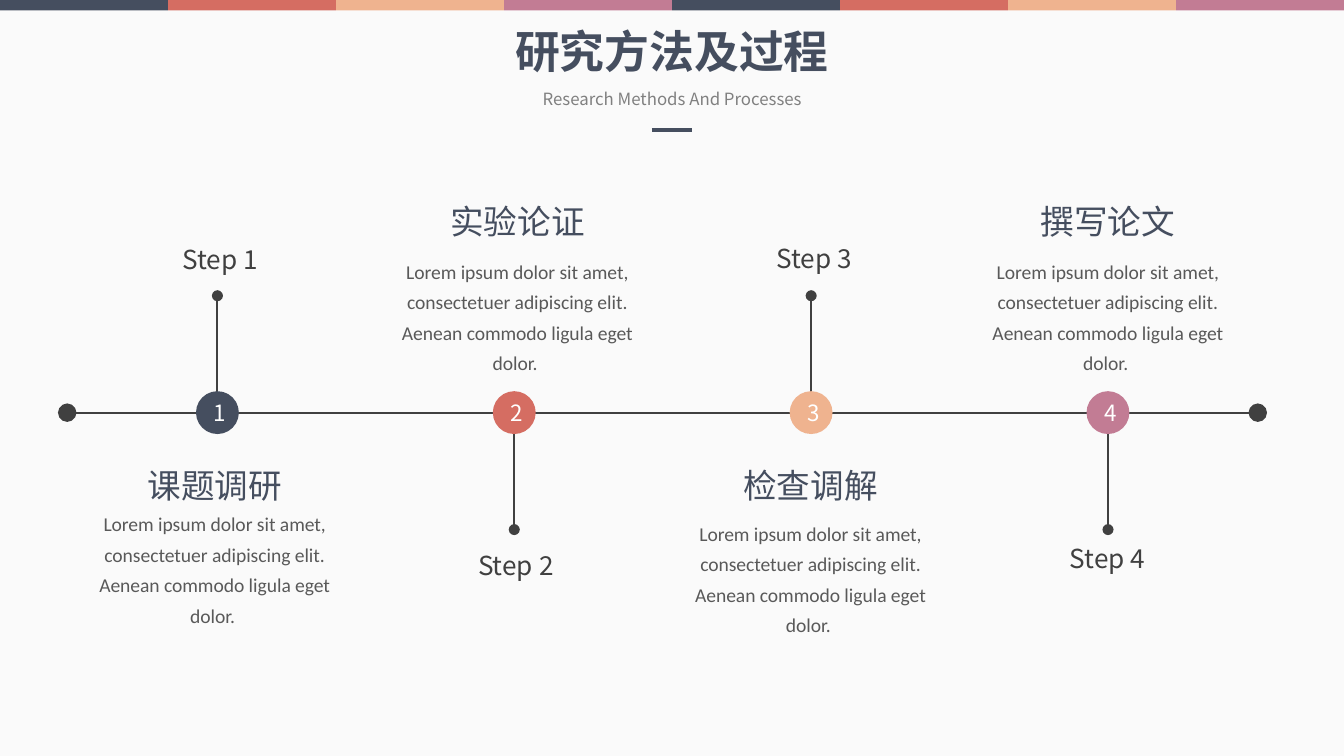
from dataclasses import dataclass

from pptx import Presentation
from pptx.dml.color import RGBColor
from pptx.enum.shapes import MSO_CONNECTOR, MSO_SHAPE
from pptx.enum.text import MSO_ANCHOR, MSO_AUTO_SIZE, PP_ALIGN
from pptx.oxml.ns import qn
from pptx.util import Cm, Pt
from lxml.etree import SubElement

WIDTH, HEIGHT = 25.4, 14.29
CJK = "Noto Sans CJK SC"
NAVY, DARK = "454E5F", "404040"
PALETTE = [NAVY, "D56D62", "EFB38F", "C27C94"]
BODY = ("Lorem ipsum dolor sit amet, consectetuer adipiscing elit. "
        "Aenean commodo ligula eget dolor. ")

TITLE_FONT = {"name": CJK, "size": Pt(24), "bold": True}
SUBTITLE_FONT = {"name": CJK, "size": Pt(9)}
HEADING_FONT = {"name": CJK, "size": Pt(18)}
STEP_FONT = {"name": CJK, "size": Pt(14)}
NUMBER_FONT = {"name": CJK, "size": Pt(12)}
BODY_FONT = {"name": "Calibri", "size": Pt(10.5)}
BODY_SPACING = {"line_spacing": 1.3, "space_before": Pt(6)}


@dataclass
class Step:
    heading: str
    text_center: float
    heading_top: float
    body_top: float
    label_center: float
    label_top: float
    stem_end: float


STEPS = [
    Step("课题调研", 4.06, 8.66, 9.42, 4.16, 4.47, 5.59),
    Step("实验论证", 9.78, 3.68, 4.65, 9.75, 10.26, 10.01),
    Step("检查调解", 15.32, 8.66, 9.6, 15.39, 4.45, 5.59),
    Step("撰写论文", 20.94, 3.68, 4.65, 20.93, 10.13, 10.01),
]


def rgb(color):
    return RGBColor.from_string(color)


def write_text(frame, text, color, font, spacing=None):
    paragraph = frame.paragraphs[0]
    paragraph.alignment = PP_ALIGN.CENTER
    for name, value in (spacing or {}).items():
        setattr(paragraph, name, value)
    run = paragraph.add_run()
    run.text = text
    run.font.color.rgb = rgb(color)
    for name, value in font.items():
        setattr(run.font, name, value)
    east_asian = SubElement(run.font._element, qn("a:ea"))
    east_asian.set("typeface", font["name"])


def add_text(slide, center, top, width, height, text, color, font,
             spacing=None, wrap=True):
    box = slide.shapes.add_textbox(Cm(center - width / 2), Cm(top),
                                   Cm(width), Cm(height))
    frame = box.text_frame
    frame.word_wrap = wrap
    frame.auto_size = MSO_AUTO_SIZE.SHAPE_TO_FIT_TEXT
    write_text(frame, text, color, font, spacing)


def add_filled_shape(slide, kind, left, top, width, height, color):
    shape = slide.shapes.add_shape(kind, Cm(left), Cm(top),
                                   Cm(width), Cm(height))
    shape.shadow.inherit = False
    shape.fill.solid()
    shape.fill.fore_color.rgb = rgb(color)
    shape.line.fill.background()
    return shape


def add_line(slide, x1, y1, x2, y2, color, weight=1, dot_size=None):
    """Draw a straight line, with round dots at both ends if dot_size is set."""
    line = slide.shapes.add_connector(MSO_CONNECTOR.STRAIGHT, Cm(x1), Cm(y1),
                                      Cm(x2), Cm(y2))
    line.line.color.rgb = rgb(color)
    line.line.width = Pt(weight)
    if dot_size:
        outline = line.line._get_or_add_ln()
        for tag in ("a:headEnd", "a:tailEnd"):
            end = SubElement(outline, qn(tag))
            for name, value in {"type": "oval", "w": dot_size,
                                "len": dot_size}.items():
                end.set(name, value)
    SubElement(line._element.spPr, qn("a:effectLst"))


def add_color_band(slide, left, top, width, height):
    colors = PALETTE * 2
    part = width / len(colors)
    for index, color in enumerate(colors):
        add_filled_shape(slide, MSO_SHAPE.RECTANGLE, left + index * part, top,
                         part, height, color)


def add_header(slide, left, top, width):
    center = left + width / 2
    add_text(slide, center, top, 6.5, 1.28, "研究方法及过程", NAVY,
             TITLE_FONT, wrap=False)
    add_text(slide, center, top + 1.22, 5.71, 0.64,
             "Research Methods And Processes", "808080", SUBTITLE_FONT,
             wrap=False)
    rule_y = top + 2.13
    add_line(slide, center - 0.38, rule_y, center + 0.38, rule_y, NAVY, 2.25)


def add_number(slide, center, axis_y, diameter, number, color):
    circle = add_filled_shape(slide, MSO_SHAPE.OVAL, center - diameter / 2,
                              axis_y - diameter / 2, diameter, diameter, color)
    frame = circle.text_frame
    for name, value in {"margin_left": Cm(0.1), "margin_right": 0,
                        "margin_top": 0, "margin_bottom": 0,
                        "vertical_anchor": MSO_ANCHOR.MIDDLE}.items():
        setattr(frame, name, value)
    write_text(frame, str(number), "FFFFFF", NUMBER_FONT)


def add_timeline(slide, left, axis_y, width):
    first, pitch = left + 2.84, 5.61
    centers = [first + index * pitch for index in range(len(STEPS))]
    for center, step in zip(centers, STEPS):
        add_line(slide, center, step.stem_end, center, axis_y, DARK,
                 dot_size="med")
    add_line(slide, left, axis_y, left + width, axis_y, DARK, dot_size="lg")
    for number, (center, step, color) in enumerate(
            zip(centers, STEPS, PALETTE), start=1):
        add_number(slide, center, axis_y, 0.81, number, color)
        add_text(slide, step.label_center, step.label_top, 2.59, 0.86,
                 f"Step {number}", DARK, STEP_FONT)
        add_text(slide, step.text_center, step.body_top, 5.5, 2.54,
                 BODY, "595959", BODY_FONT, BODY_SPACING)
        add_text(slide, step.text_center, step.heading_top, 4.2, 1.02,
                 step.heading, NAVY, HEADING_FONT)


def main():
    presentation = Presentation()
    presentation.slide_width = Cm(WIDTH)
    presentation.slide_height = Cm(HEIGHT)
    slide = presentation.slides.add_slide(presentation.slide_layouts[6])
    slide.background.fill.solid()
    slide.background.fill.fore_color.rgb = rgb("FAFAFA")
    add_color_band(slide, 0, 0, WIDTH, 0.2)
    add_timeline(slide, 1.27, 7.8, 22.5)
    add_header(slide, 0, 0.33, WIDTH)
    presentation.save("out.pptx")


if __name__ == "__main__":
    main()
